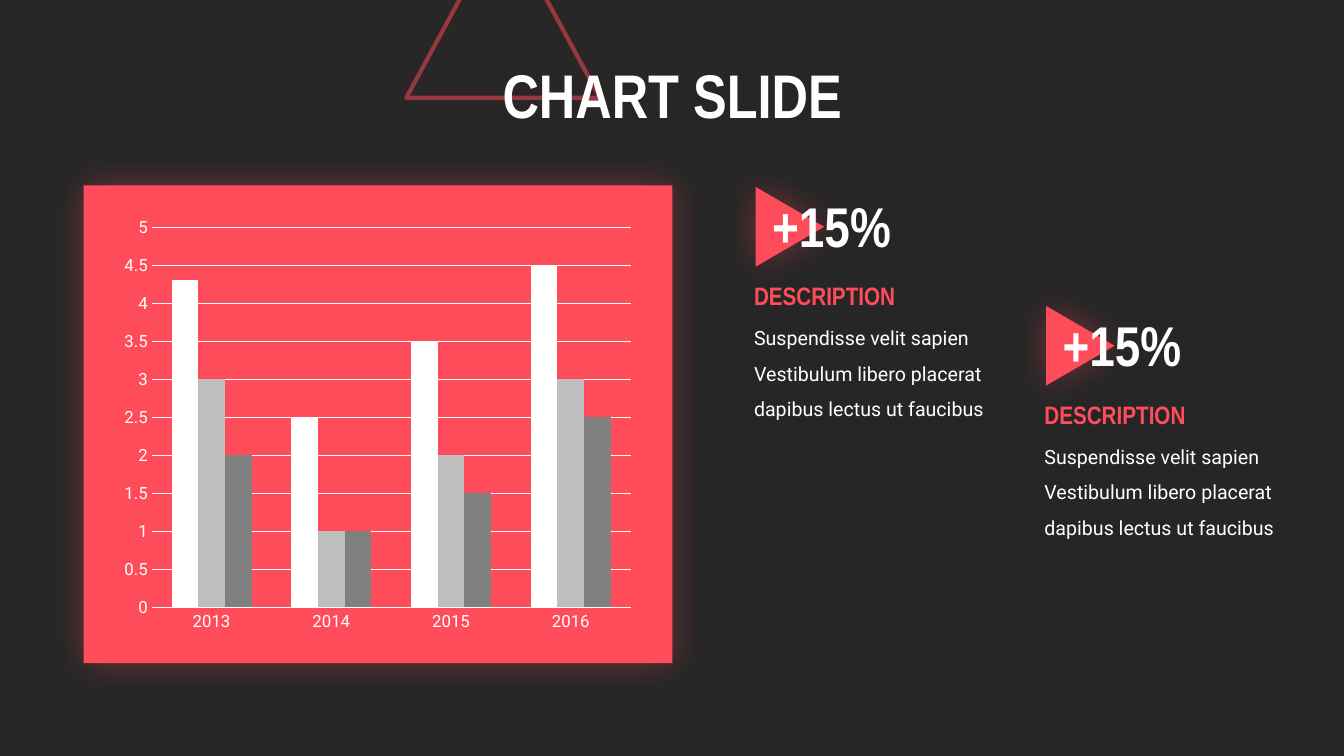
from dataclasses import dataclass

from lxml import etree
from pptx import Presentation
from pptx.chart.data import CategoryChartData
from pptx.dml.color import RGBColor
from pptx.enum.chart import XL_CHART_TYPE, XL_TICK_MARK
from pptx.enum.shapes import MSO_SHAPE
from pptx.enum.text import MSO_ANCHOR, MSO_AUTO_SIZE, PP_ALIGN
from pptx.oxml.ns import qn
from pptx.util import Inches, Pt

COLUMNS = XL_CHART_TYPE.COLUMN_CLUSTERED
NO_TICK = XL_TICK_MARK.NONE
TRIANGLE, RECTANGLE = MSO_SHAPE.ISOSCELES_TRIANGLE, MSO_SHAPE.RECTANGLE
LEFT, CENTER = PP_ALIGN.LEFT, PP_ALIGN.CENTER
TOP, MIDDLE = MSO_ANCHOR.TOP, MSO_ANCHOR.MIDDLE
GROW, FIXED = MSO_AUTO_SIZE.SHAPE_TO_FIT_TEXT, MSO_AUTO_SIZE.NONE

COLORS = {
    "background": "262626",
    "accent": "FF4C5B",
    "white": "FFFFFF",
    "light": "BFBFBF",
    "dark": "808080",
}
HEADING_FONT, BODY_FONT = "Arial Narrow", "Roboto"


@dataclass
class Box:
    left: float
    top: float
    width: float
    height: float

    def lengths(self):
        return [Inches(value) for value in (self.left, self.top, self.width, self.height)]


@dataclass
class Highlight:
    left: float
    top: float
    figure: str
    heading: str
    body: str


@dataclass
class Series:
    name: str
    values: tuple
    color: str


BODY = "Suspendisse velit sapien Vestibulum libero placerat dapibus lectus ut faucibus"
HIGHLIGHTS = [
    Highlight(7.38, 1.85, "+15%", "DESCRIPTION", BODY),
    Highlight(10.26, 3.03, "+15%", "DESCRIPTION", BODY),
]
YEARS = ["2013", "2014", "2015", "2016"]
SERIES = [
    Series("Series 1", (4.3, 2.5, 3.5, 4.5), "white"),
    Series("Series 2", (3, 1, 2, 3), "light"),
    Series("Series 3", (2, 1, 1.5, 2.5), "dark"),
]


def rgb(name: str) -> RGBColor:
    return RGBColor.from_string(COLORS[name])


def set_alpha(color_element, percent: int) -> None:
    etree.SubElement(color_element, qn("a:alpha"), val=str(percent * 1000))


def add_glowing_shape(slide, kind, box: Box, rotation: float = 0, outlined: bool = False):
    shape = slide.shapes.add_shape(kind, *box.lengths())
    shape.rotation = rotation
    if outlined:
        shape.fill.background()
        shape.line.color.rgb = rgb("accent")
        shape.line.width = Pt(3)
        set_alpha(shape.line._ln.find(".//" + qn("a:srgbClr")), 50)
    else:
        shape.fill.solid()
        shape.fill.fore_color.rgb = rgb("accent")
        shape.line.fill.background()
    # Soft accent glow made of an undisplaced shadow
    shape.shadow.inherit = False
    effects = shape._element.spPr.find(qn("a:effectLst"))
    shadow = etree.SubElement(effects, qn("a:outerShdw"), blurRad=str(Pt(25)), dist="0",
                              dir="0", algn="ctr", rotWithShape="0")
    set_alpha(etree.SubElement(shadow, qn("a:srgbClr"), val=COLORS["accent"]), 35)
    return shape


def add_text(slide, text: str, box: Box, *, size: float, font: str = HEADING_FONT,
             color: str = "white", bold: bool = True, align=LEFT, anchor=TOP,
             auto_size=GROW, line_spacing: float = 1.0):
    shape = slide.shapes.add_textbox(*box.lengths())
    frame = shape.text_frame
    frame.word_wrap = True
    frame.auto_size = auto_size
    frame.vertical_anchor = anchor
    paragraph = frame.paragraphs[0]
    paragraph.alignment = align
    paragraph.line_spacing = line_spacing
    run = paragraph.add_run()
    run.text = text
    run.font.size = Pt(size)
    run.font.name = font
    run.font.bold = bold
    run.font.color.rgb = rgb(color)
    return shape


def set_font(font, size: float) -> None:
    font.size = Pt(size)
    font.name = BODY_FONT
    font.color.rgb = rgb("white")


def add_column_chart(slide, box: Box) -> None:
    data = CategoryChartData()
    data.categories = YEARS
    for series in SERIES:
        data.add_series(series.name, series.values)
    chart = slide.shapes.add_chart(COLUMNS, *box.lengths(), data).chart
    chart.has_title = False
    chart.has_legend = False
    set_font(chart.font, 10)

    plot = chart.plots[0]
    plot.vary_by_categories = False
    plot.gap_width = 150
    plot.overlap = 0
    for drawn, series in zip(plot.series, SERIES):
        drawn.format.fill.solid()
        drawn.format.fill.fore_color.rgb = rgb(series.color)

    for axis in (chart.category_axis, chart.value_axis):
        axis.major_tick_mark = axis.minor_tick_mark = NO_TICK
        axis.format.line.fill.background()
        set_font(axis.tick_labels.font, 12)
    value_axis = chart.value_axis
    value_axis.minimum_scale, value_axis.maximum_scale = 0, 5
    value_axis.major_unit = 0.5
    value_axis.has_major_gridlines = True
    gridline = value_axis.major_gridlines.format.line
    gridline.color.rgb = rgb("white")
    gridline.width = Pt(0.75)


def add_highlight(slide, item: Highlight) -> None:
    left, top = item.left, item.top
    add_glowing_shape(slide, TRIANGLE, Box(left + 0.06, top + 0.06, 0.79, 0.68), rotation=90)
    add_text(slide, item.body, Box(left, top + 1.22, 2.81, 1.12), size=14,
             font=BODY_FONT, bold=False, line_spacing=1.5)
    add_text(slide, item.heading, Box(left, top + 0.88, 2.45, 0.4), size=18, color="accent")
    add_text(slide, item.figure, Box(left + 0.18, top, 1.79, 0.77), size=40)


def main() -> None:
    presentation = Presentation()
    presentation.slide_width = Inches(13.33)
    presentation.slide_height = Inches(7.5)
    slide = presentation.slides.add_slide(presentation.slide_layouts[6])
    slide.background.fill.solid()
    slide.background.fill.fore_color.rgb = rgb("background")

    # Title over the outlined triangle
    add_glowing_shape(slide, TRIANGLE, Box(4.03, -0.8, 1.92, 1.77), outlined=True)
    add_text(slide, "CHART SLIDE", Box(3.27, 0.49, 6.8, 0.98), size=44, align=CENTER,
             anchor=MIDDLE, auto_size=FIXED, line_spacing=0.9)

    # Chart on its panel
    add_glowing_shape(slide, RECTANGLE, Box(0.83, 1.84, 5.84, 4.74))
    add_column_chart(slide, Box(1.13, 2.07, 5.23, 4.28))

    # Key figures
    for item in HIGHLIGHTS:
        add_highlight(slide, item)

    presentation.save("out.pptx")


if __name__ == "__main__":
    main()
